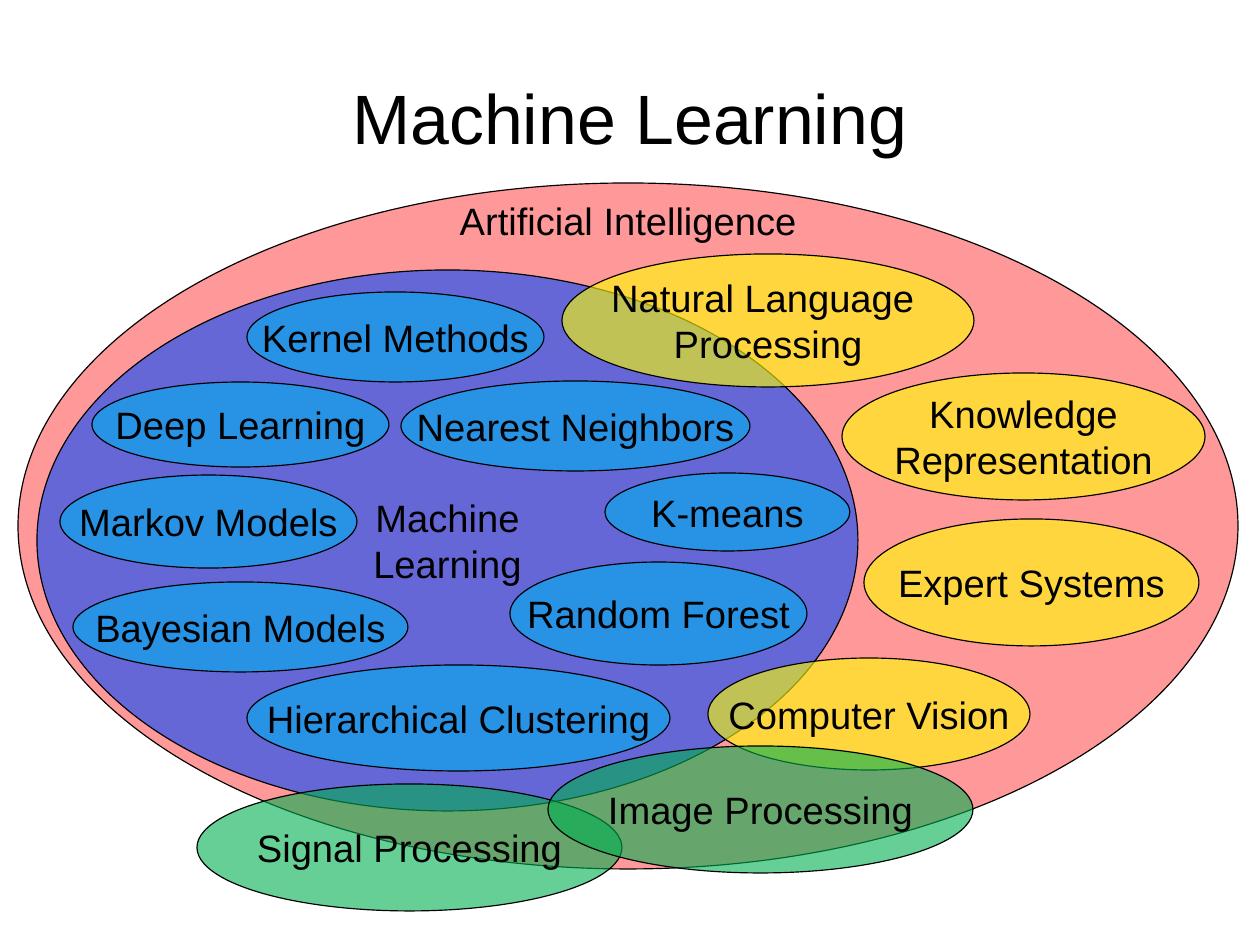
from lxml import etree
from pptx import Presentation
from pptx.dml.color import RGBColor
from pptx.enum.shapes import MSO_SHAPE
from pptx.enum.text import MSO_ANCHOR, PP_ALIGN
from pptx.oxml.ns import qn
from pptx.util import Pt

PX = 8000
OVAL = MSO_SHAPE.OVAL
MIDDLE = MSO_ANCHOR.MIDDLE
CENTER = PP_ALIGN.CENTER
FONT = "Arial"
COLORS = {
    "ink": "000000",
    "intelligence": "FF0000",
    "learning": "0047FF",
    "method": "00B0F0",
    "field": "FFFF00",
    "processing": "00B050",
}

TOPICS = [
    ("Kernel Methods", "method", (229, 109, 297, 90)),
    ("Deep Learning", "method", (74, 199, 297, 85)),
    ("Random Forest", "method", (492, 379, 297, 103)),
    ("Bayesian Models", "method", (55, 399, 335, 90)),
    ("Nearest Neighbors", "method", (383, 198, 349, 90)),
    ("Hierarchical Clustering", "method", (229, 482, 423, 106)),
    ("Computer Vision", "field", (690, 475, 322, 112)),
    ("Knowledge\nRepresentation", "field", (824, 190, 363, 127)),
    ("Natural Language \nProcessing", "field", (544, 71, 412, 133)),
    ("Signal Processing", "processing", (179, 601, 425, 127)),
    ("Image Processing", "processing", (530, 563, 425, 127)),
    ("Expert Systems", "field", (846, 336, 335, 127)),
    ("K-means", "method", (587, 290, 245, 78)),
    ("Markov Models", "method", (42, 292, 297, 93)),
]


def scaled(lengths):
    """Turn lengths in px into EMU."""
    return [length * PX for length in lengths]


def write_text(shape, text, size, wrap=False):
    """Centre text in a shape, one paragraph per line."""
    frame = shape.text_frame
    frame.word_wrap = wrap
    frame.vertical_anchor = MIDDLE
    frame.text = text
    for paragraph in frame.paragraphs:
        paragraph.alignment = CENTER
        paragraph.font.size = Pt(size)
        paragraph.font.name = FONT
        paragraph.font.color.rgb = RGBColor.from_string(COLORS["ink"])


def add_label(slide, text, box, size):
    """Add a text box without margins."""
    label = slide.shapes.add_textbox(*scaled(box))
    write_text(label, text, size, wrap=True)
    frame = label.text_frame
    frame.margin_left = frame.margin_right = 0
    frame.margin_top = frame.margin_bottom = 0


def add_set(slide, text, color, box, opacity=60):
    """Add a translucent ellipse, with its name inside if it has one."""
    ellipse = slide.shapes.add_shape(OVAL, *scaled(box))
    ellipse.shadow.inherit = False
    ellipse.fill.solid()
    ellipse.fill.fore_color.rgb = RGBColor.from_string(COLORS[color])
    fill_color = ellipse.fill._xPr.find(qn("a:solidFill"))[0]
    etree.SubElement(fill_color, qn("a:alpha"), val=str(opacity * 1000))
    ellipse.line.color.rgb = RGBColor.from_string(COLORS["ink"])
    ellipse.line.width = Pt(0.75)
    if text:
        write_text(ellipse, text, 24)


def add_intelligence(slide, box):
    """Add the outer set, named just under its top edge."""
    left, top, width, height = box
    add_set(slide, "", "intelligence", box, opacity=40)
    add_label(slide, "Artificial Intelligence", (left, top + 15, width, 44), 24)


def add_diagram(slide, box):
    """Add the outer set, the machine learning set and their topics."""
    add_intelligence(slide, box)
    left, top, width, height = box
    add_set(slide, "Machine\nLearning", "learning", (left + 19, top + 87, 821, 541))
    for text, color, (x, y, topic_width, topic_height) in TOPICS:
        add_set(slide, text, color, (left + x, top + y, topic_width, topic_height))


def main():
    """Build the slide and save it."""
    presentation = Presentation()
    presentation.slide_width, presentation.slide_height = scaled((1260, 945))
    slide = presentation.slides.add_slide(presentation.slide_layouts[6])
    add_label(slide, "Machine Learning", (63, 38, 1134, 157), 44)
    add_diagram(slide, (18, 183, 1220, 686))
    presentation.save("out.pptx")


if __name__ == "__main__":
    main()
